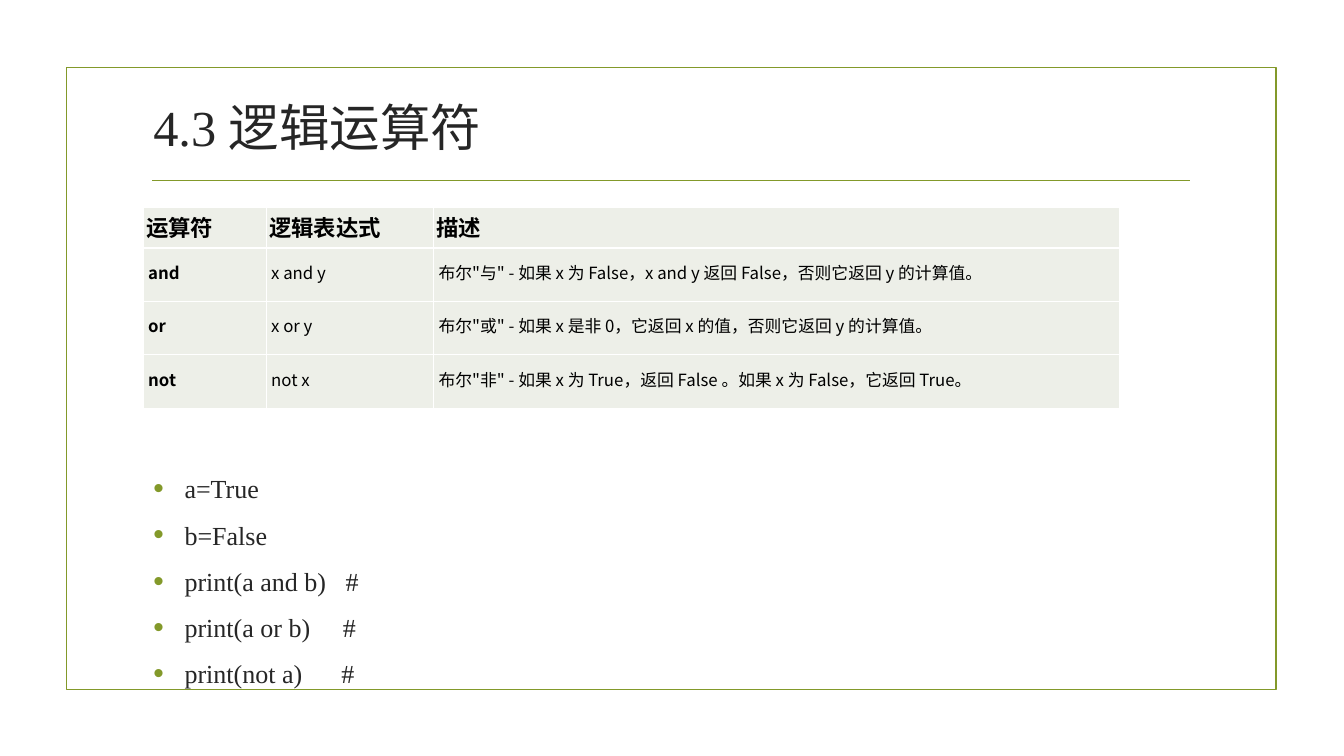
"""Build the slide on logical operators."""
from lxml import etree
from pptx import Presentation
from pptx.dml.color import RGBColor
from pptx.enum.shapes import MSO_CONNECTOR, MSO_SHAPE
from pptx.enum.text import MSO_ANCHOR, MSO_AUTO_SIZE, PP_ALIGN
from pptx.oxml.ns import qn
from pptx.util import Inches, Pt

RECTANGLE = MSO_SHAPE.RECTANGLE
STRAIGHT = MSO_CONNECTOR.STRAIGHT
TOP, MIDDLE = MSO_ANCHOR.TOP, MSO_ANCHOR.MIDDLE
LEFT = PP_ALIGN.LEFT
NO_AUTOFIT = MSO_AUTO_SIZE.NONE

GREEN, DARK, BLACK, WHITE, PALE = "83992A", "262626", "000000", "FFFFFF", "EDEFE8"
SERIF, SANS = "Times New Roman", "Noto Sans CJK SC"

ROWS = [
    ("运算符", "逻辑表达式", "描述"),
    ("and", "x and y", '布尔"与" - 如果 x 为 False，x and y 返回 False，否则它返回 y 的计算值。'),
    ("or", "x or y", '布尔"或" - 如果 x 是非 0，它返回 x 的值，否则它返回 y 的计算值。'),
    ("not", "not x", '布尔"非" - 如果 x 为 True，返回 False 。如果 x 为 False，它返回 True。'),
]
COLUMN_WIDTHS = [1.22, 1.66, 6.8]
ROW_HEIGHTS = [0.4, 0.53, 0.53, 0.53]
CODE_LINES = ["a=True", "b=False", "print(a and b)   #", "print(a or b)     #", "print(not a)      #"]


def color(hex_string):
    return RGBColor.from_string(hex_string)


def set_font(paragraph, name, size, hex_string, bold=False):
    font = paragraph.font
    font.name, font.size, font.bold = name, Pt(size), bold
    font.color.rgb = color(hex_string)


presentation = Presentation()
presentation.slide_width, presentation.slide_height = Inches(13.33), Inches(7.5)
slide = presentation.slides.add_slide(presentation.slide_layouts[1])
shapes = slide.shapes
title, body = slide.placeholders

frame = shapes.add_shape(RECTANGLE, Inches(0.66), Inches(0.67), Inches(12), Inches(6.17))
frame.shadow.inherit = False
frame.fill.background()
rule = shapes.add_connector(STRAIGHT, Inches(1.51), Inches(1.79), Inches(11.8), Inches(1.79))
etree.SubElement(rule._element.spPr, qn("a:effectLst"))
for shape in (frame, rule):
    shape.line.color.rgb = color(GREEN)
    shape.line.width = Pt(1.25)

for placeholder, top, height, anchor in ((title, 0.88, 0.75, MIDDLE), (body, 4.64, 2.2, TOP)):
    placeholder.left, placeholder.top = Inches(1.42), Inches(top)
    placeholder.width, placeholder.height = Inches(10.5), Inches(height)
    placeholder.text_frame.auto_size = NO_AUTOFIT
    placeholder.text_frame.vertical_anchor = anchor

title.text_frame.text = "4.3 逻辑运算符"
heading = title.text_frame.paragraphs[0]
heading.alignment = LEFT
set_font(heading, SERIF, 36, DARK)

body.text_frame.text = "\n".join(CODE_LINES)
for paragraph in body.text_frame.paragraphs:
    properties = paragraph._p.get_or_add_pPr()
    properties.set("marL", str(Inches(0.31)))
    properties.set("indent", str(Inches(-0.31)))
    bullet_color = etree.SubElement(properties, qn("a:buClr"))
    etree.SubElement(bullet_color, qn("a:srgbClr"), val=GREEN)
    etree.SubElement(properties, qn("a:buSzPct"), val="115000")
    etree.SubElement(properties, qn("a:buFont"), typeface="Arial")
    etree.SubElement(properties, qn("a:buChar"), char="•")
    paragraph.space_before, paragraph.space_after = Pt(4.7), Pt(6)
    set_font(paragraph, SERIF, 18.6, DARK)

table = shapes.add_table(
    len(ROWS), len(COLUMN_WIDTHS), Inches(1.42), Inches(2.06),
    Inches(sum(COLUMN_WIDTHS)), Inches(sum(ROW_HEIGHTS)),
).table
table.first_row = table.horz_banding = False
for column, width in zip(table.columns, COLUMN_WIDTHS):
    column.width = Inches(width)
for row, height in zip(table.rows, ROW_HEIGHTS):
    row.height = Inches(height)

for row_index, texts in enumerate(ROWS):
    is_header = row_index == 0
    for column_index, text in enumerate(texts):
        cell = table.cell(row_index, column_index)
        cell.text = text
        cell.vertical_anchor = TOP
        cell.margin_left = cell.margin_right = Inches(0.03 if is_header else 0.05)
        cell.margin_top = cell.margin_bottom = Inches(0.03 if is_header else 0.07)
        for side in ("a:lnL", "a:lnR", "a:lnT", "a:lnB"):
            border = etree.SubElement(cell._tc.get_or_add_tcPr(), qn(side), w=str(Pt(1)))
            border_fill = etree.SubElement(border, qn("a:solidFill"))
            etree.SubElement(border_fill, qn("a:srgbClr"), val=WHITE)
        cell.fill.solid()
        cell.fill.fore_color.rgb = color(PALE)
        paragraph = cell.text_frame.paragraphs[0]
        if not is_header:
            paragraph.line_spacing = Pt(21)
        set_font(paragraph, SANS, 16 if is_header else 12, BLACK, is_header or column_index == 0)

presentation.save("out.pptx")
